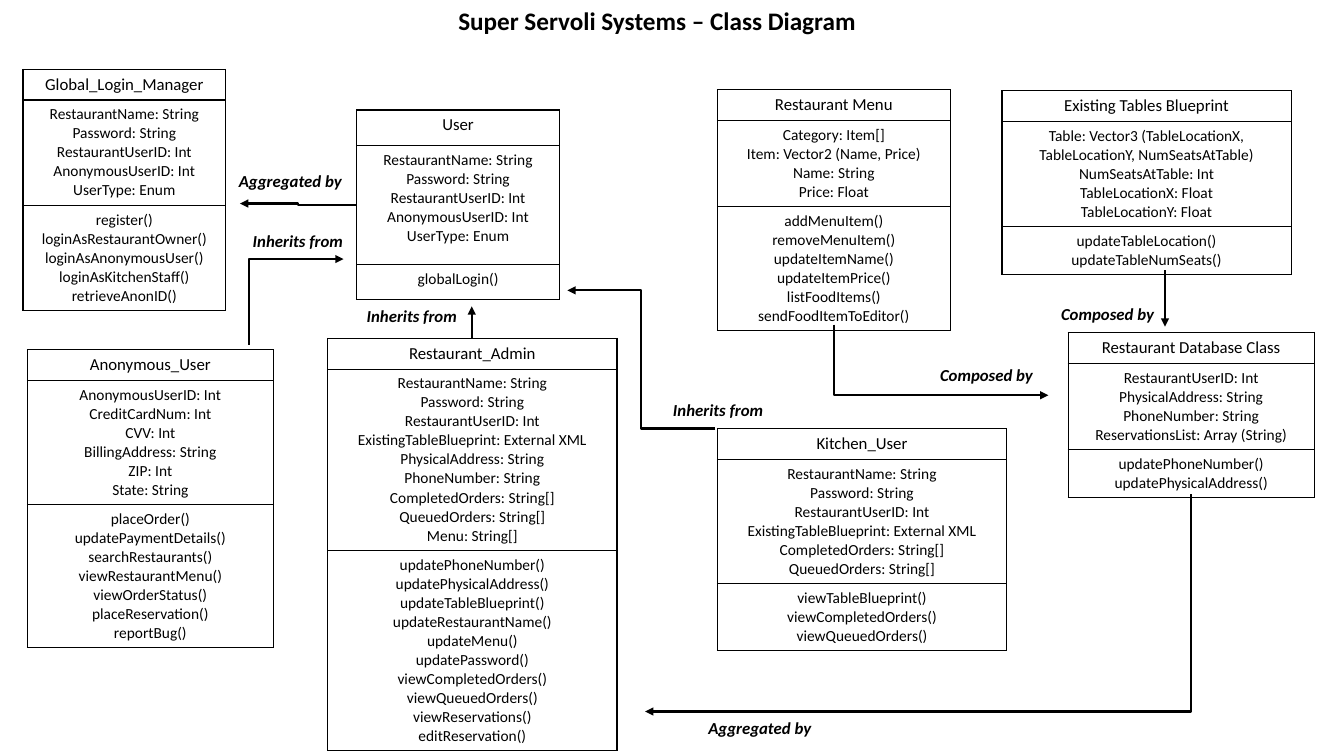
from lxml import etree
from pptx import Presentation
from pptx import util as u
from pptx.dml.color import RGBColor
from pptx.enum import shapes, text
from pptx.oxml import ns

COLOURS = {"ink": "000000"}
HEADING = {"size": u.Pt(18), "bold": True}
CLASS_NAME = {"size": u.Pt(12)}
MEMBER = {"size": u.Pt(11)}
RELATION = {"size": u.Pt(12), "bold": True, "italic": True}
HEADER_HEIGHT, LINE_HEIGHT, CELL_PADDING = 0.77, 0.475, 0.25

LOGIN_FIELDS = ["RestaurantName: String", "Password: String", "RestaurantUserID: Int"]
ACCOUNT_FIELDS = LOGIN_FIELDS + ["AnonymousUserID: Int", "UserType: Enum"]
STAFF_FIELDS = LOGIN_FIELDS + ["ExistingTableBlueprint: External XML"]
ORDER_FIELDS = ["CompletedOrders: String[]", "QueuedOrders: String[]"]
CONTACT_FIELDS = ["PhysicalAddress: String", "PhoneNumber: String"]
CONTACT_METHODS = ["updatePhoneNumber()", "updatePhysicalAddress()"]
ORDER_METHODS = ["viewCompletedOrders()", "viewQueuedOrders()"]

CLASSES = [
    ((0.58, 1.75, 5.11), "Global_Login_Manager", ACCOUNT_FIELDS,
     ["register()", "loginAsRestaurantOwner()", "loginAsAnonymousUser()",
      "loginAsKitchenStaff()", "retrieveAnonID()"], None),
    ((8.26, 8.53, 7.29), "Restaurant_Admin",
     STAFF_FIELDS + CONTACT_FIELDS + ORDER_FIELDS + ["Menu: String[]"],
     CONTACT_METHODS + ["updateTableBlueprint()", "updateRestaurantName()",
                        "updateMenu()", "updatePassword()"]
     + ORDER_METHODS + ["viewReservations()", "editReservation()"], None),
    ((18.08, 10.8, 7.29), "Kitchen_User", STAFF_FIELDS + ORDER_FIELDS,
     ["viewTableBlueprint()"] + ORDER_METHODS, None),
    ((0.69, 8.81, 6.2), "Anonymous_User",
     ["AnonymousUserID: Int", "CreditCardNum: Int", "CVV: Int",
      "BillingAddress: String", "ZIP: Int", "State: String"],
     ["placeOrder()", "updatePaymentDetails()", "searchRestaurants()",
      "viewRestaurantMenu()", "viewOrderStatus()", "placeReservation()",
      "reportBug()"], None),
    ((18.08, 2.26, 5.87), "Restaurant Menu",
     ["Category: Item[]", "Item: Vector2 (Name, Price)", "Name: String", "Price: Float"],
     ["addMenuItem()", "removeMenuItem()", "updateItemName()", "updateItemPrice()",
      "listFoodItems()", "sendFoodItemToEditor()"], None),
    ((25.25, 2.29, 7.29), "Existing Tables Blueprint",
     ["Table: Vector3 (TableLocationX, TableLocationY, NumSeatsAtTable)",
      "NumSeatsAtTable: Int", "TableLocationX: Float", "TableLocationY: Float"],
     ["updateTableLocation()", "updateTableNumSeats()"], None),
    ((26.92, 8.38, 6.2), "Restaurant Database Class",
     ["RestaurantUserID: Int"] + CONTACT_FIELDS + ["ReservationsList: Array (String)"],
     CONTACT_METHODS, None),
    ((8.99, 2.77, 5.11), "User", ACCOUNT_FIELDS, ["globalLogin()"], (0.89, 3, 0.89)),
]

LABELS = [
    ("Inherits from", 16.71, 9.96, 3.23),
    ("Composed by", 23.44, 9.07, 3.23),
    ("Composed by", 26.49, 7.54, 3.2),
    ("Aggregated by", 17.6, 17.96, 3.23),
    ("Inherits from", 8.99, 7.59, 2.87),
    ("Inherits from", 6.12, 5.69, 3.23),
    ("Aggregated by", 5.77, 4.17, 3.4),
]

STRAIGHT, ELBOW = shapes.MSO_CONNECTOR.STRAIGHT, shapes.MSO_CONNECTOR.ELBOW
ARROWS = [
    ((6.27, 8.69, 8.66, 6.53), ELBOW, 0),
    ((11.89, 8.53, 11.89, 7.72), STRAIGHT, None),
    ((18.03, 10.8, 14.3, 7.32), ELBOW, 50000),
    ((30.02, 12.45, 16.26, 17.93), ELBOW, 0),
    ((8.99, 5.16, 6.05, 5.13), ELBOW, 50000),
    ((21.01, 8.18, 26.42, 9.96), ELBOW, 0),
    ((29.36, 6.81, 29.36, 8.23), STRAIGHT, None),
]


class DiagramSlide:
    """Draws class boxes, labels and arrows in one style on one slide."""

    def __init__(self, slide, font="Calibri"):
        self.slide = slide
        self.font = font
        self.ink = RGBColor.from_string(COLOURS["ink"])

    def fill_text(self, frame, lines, formats, align):
        for index, line in enumerate(lines):
            paragraph = frame.paragraphs[0] if index == 0 else frame.add_paragraph()
            paragraph.alignment = align
            run = paragraph.add_run()
            run.text = line
            run.font.color.rgb = self.ink
            for name, value in {"name": self.font, **formats}.items():
                setattr(run.font, name, value)

    def label(self, line, left, top, width, height=0.76, formats=RELATION):
        box = self.slide.shapes.add_textbox(*map(u.Cm, (left, top, width, height)))
        box.text_frame.word_wrap = True
        self.fill_text(box.text_frame, [line], formats, text.PP_ALIGN.LEFT)

    def border(self, cell):
        properties = cell._tc.get_or_add_tcPr()
        for index, side in enumerate(("lnL", "lnR", "lnT", "lnB")):
            line = etree.Element(ns.qn("a:" + side), w=str(u.Pt(1)))
            fill = etree.SubElement(line, ns.qn("a:solidFill"))
            etree.SubElement(fill, ns.qn("a:srgbClr"), val=COLOURS["ink"])
            properties.insert(index, line)

    def class_box(self, place, name, fields, methods, heights=None):
        sections = [[name], fields, methods]
        heights = heights or [HEADER_HEIGHT] + [
            len(lines) * LINE_HEIGHT + CELL_PADDING for lines in sections[1:]]
        table = self.slide.shapes.add_table(
            3, 1, *map(u.Cm, (*place, sum(heights)))).table
        table.first_row = table.horz_banding = False
        for index, (lines, height) in enumerate(zip(sections, heights)):
            table.rows[index].height = u.Cm(height)
            cell = table.cell(index, 0)
            cell.fill.background()
            self.border(cell)
            self.fill_text(cell.text_frame, lines, MEMBER if index else CLASS_NAME,
                           text.PP_ALIGN.CENTER)

    def arrow(self, ends, kind, bend):
        connector = self.slide.shapes.add_connector(kind, *map(u.Cm, ends))
        connector.line.color.rgb = self.ink
        connector.line.width = u.Pt(1.5)
        properties = connector._element.spPr
        outline = properties.find(ns.qn("a:ln"))
        etree.SubElement(outline, ns.qn("a:tailEnd"), type="triangle")
        etree.SubElement(properties, ns.qn("a:effectLst"))
        if bend is not None:
            guides = properties.find(ns.qn("a:prstGeom")).find(ns.qn("a:avLst"))
            etree.SubElement(guides, ns.qn("a:gd"), name="adj1", fmla=f"val {bend}")


presentation = Presentation()
presentation.slide_width, presentation.slide_height = u.Cm(33.87), u.Cm(19.05)
diagram = DiagramSlide(presentation.slides.add_slide(presentation.slide_layouts[6]))
for class_details in CLASSES:
    diagram.class_box(*class_details)
for label_details in LABELS:
    diagram.label(*label_details)
for arrow_details in ARROWS:
    diagram.arrow(*arrow_details)
diagram.label("Super Servoli Systems – Class Diagram", 11.3, 0, 12.29, 1.02, HEADING)
presentation.save("out.pptx")
